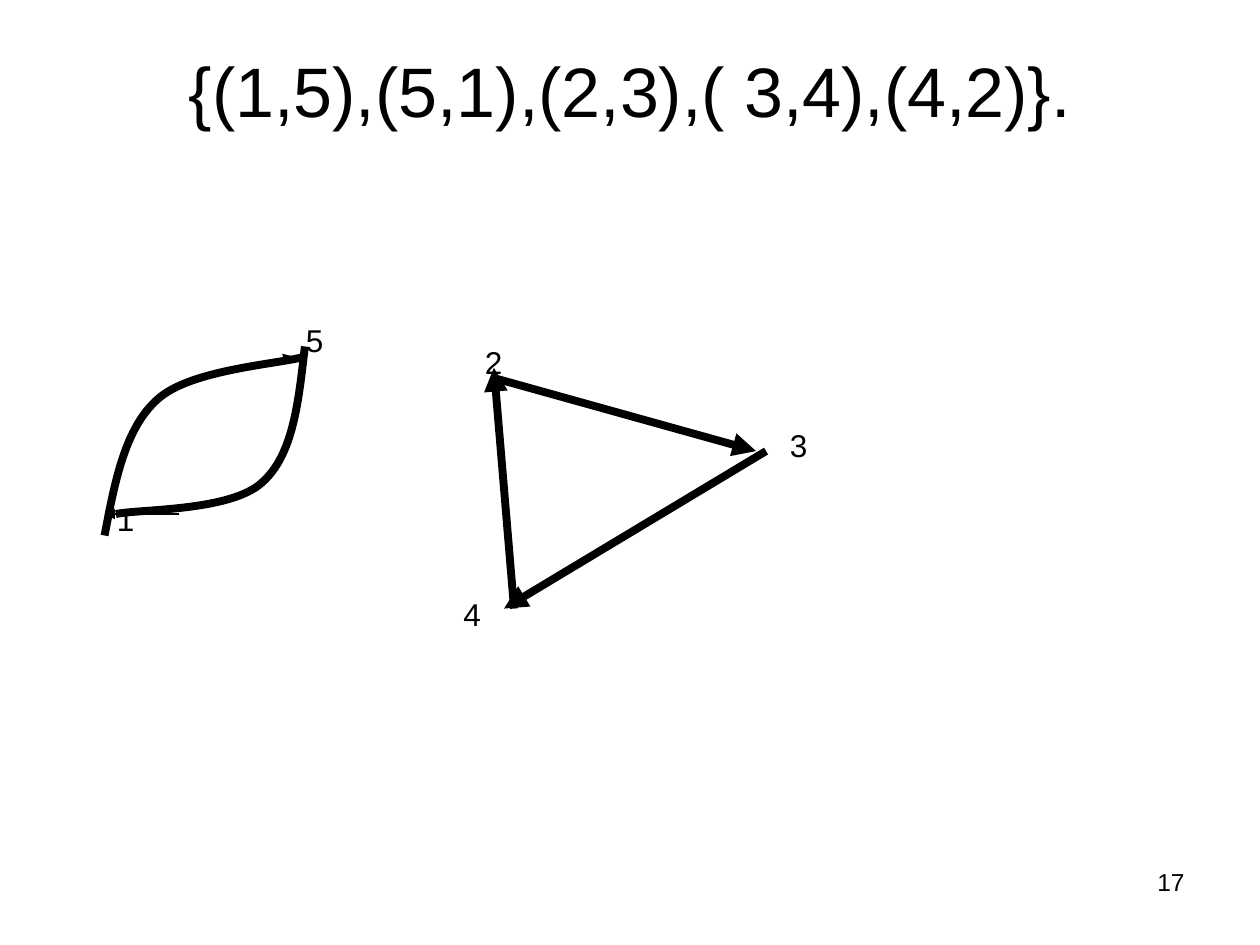
from lxml import etree
from pptx import Presentation
from pptx.dml.color import RGBColor
from pptx.enum.shapes import MSO_CONNECTOR
from pptx.enum.text import MSO_ANCHOR, MSO_AUTO_SIZE, PP_ALIGN
from pptx.oxml.ns import qn
from pptx.util import Inches, Pt

STRAIGHT = MSO_CONNECTOR.STRAIGHT
TOP = MSO_ANCHOR.TOP
GROW = MSO_AUTO_SIZE.SHAPE_TO_FIT_TEXT
LEFT, CENTER, RIGHT = PP_ALIGN.LEFT, PP_ALIGN.CENTER, PP_ALIGN.RIGHT
COLORS = {"ink": "000000"}
INK = RGBColor.from_string(COLORS["ink"])
THICK, THIN = 4.5, 0.75

prs = Presentation()
prs.slide_width, prs.slide_height = Inches(10), Inches(7.5)
slide = prs.slides.add_slide(prs.slide_layouts[6])
shapes = slide.shapes


def add_text(text, left, top, width, height, size, align):
    box = shapes.add_textbox(Inches(left), Inches(top), Inches(width), Inches(height))
    frame = box.text_frame
    frame.word_wrap = True
    frame.vertical_anchor = TOP
    paragraph = frame.paragraphs[0]
    paragraph.text = text
    paragraph.alignment = align
    paragraph.font.name = "Arial"
    paragraph.font.size = Pt(size)
    paragraph.font.color.rgb = INK
    return frame


add_text("{(1,5),(5,1),(2,3),( 3,4),(4,2)}.", 0.5, 0.33, 9, 1.22, 40, CENTER)

# Vertex labels of the directed graph
vertices = [
    ("1", 0.83, 3.92, 0.67),
    ("5", 2.33, 2.5, 0.92),
    ("2", 3.75, 2.67, 0.58),
    ("3", 6.17, 3.33, 0.92),
    ("4", 3.58, 4.67, 0.75),
]
for label, left, top, width in vertices:
    add_text(label, left, top, width, 0.4, 18, LEFT).auto_size = GROW

# Curved edges 1-5 and 5-1: a start point, then three Bézier points per segment
curved_edges = [
    [(0.83, 4.25), (0.91, 3.83), (0.99, 3.4), (1.25, 3.17),
     (1.51, 2.93), (2.22, 2.89), (2.42, 2.83)],
    [(2.42, 2.75), (2.37, 3.18), (2.33, 3.61), (2.08, 3.83),
     (1.83, 4.06), (1.11, 4.04), (0.92, 4.08)],
]
for points in curved_edges:
    start, *controls = [(Inches(x), Inches(y)) for x, y in points]
    builder = shapes.build_freeform(*start)
    builder.add_line_segments(controls, close=False)
    curve = builder.convert_to_shape()
    curve.shadow.inherit = False
    curve.fill.background()
    curve.line.color.rgb = INK
    curve.line.width = Pt(THICK)
    # Turn every three straight steps into one cubic segment
    steps = list(curve.element.iter(qn("a:lnTo")))
    outline = steps[0].getparent()
    for i in range(0, len(steps), 3):
        cubic = etree.SubElement(outline, qn("a:cubicBezTo"))
        for step in steps[i:i + 3]:
            cubic.append(step[0])
            outline.remove(step)

# Arrows: the tips of the curved edges, then the cycle 2-3-4
arrows = [
    ((1.92, 2.92), (2.33, 2.83), THIN),
    ((1.42, 4.08), (0.83, 4.08), THIN),
    ((3.92, 3), (6, 3.58), THICK),
    ((6.08, 3.58), (4, 4.83), THICK),
    ((4.08, 4.83), (3.92, 2.92), THICK),
]
for tail, tip, weight in arrows:
    arrow = shapes.add_connector(STRAIGHT, *map(Inches, tail + tip))
    arrow.line.color.rgb = INK
    arrow.line.width = Pt(weight)
    etree.SubElement(arrow.line._get_or_add_ln(), qn("a:tailEnd"), type="triangle")
    etree.SubElement(arrow.element.spPr, qn("a:effectLst"))

add_text("17", 7.17, 6.83, 2.33, 0.52, 14, RIGHT)

prs.save("out.pptx")
